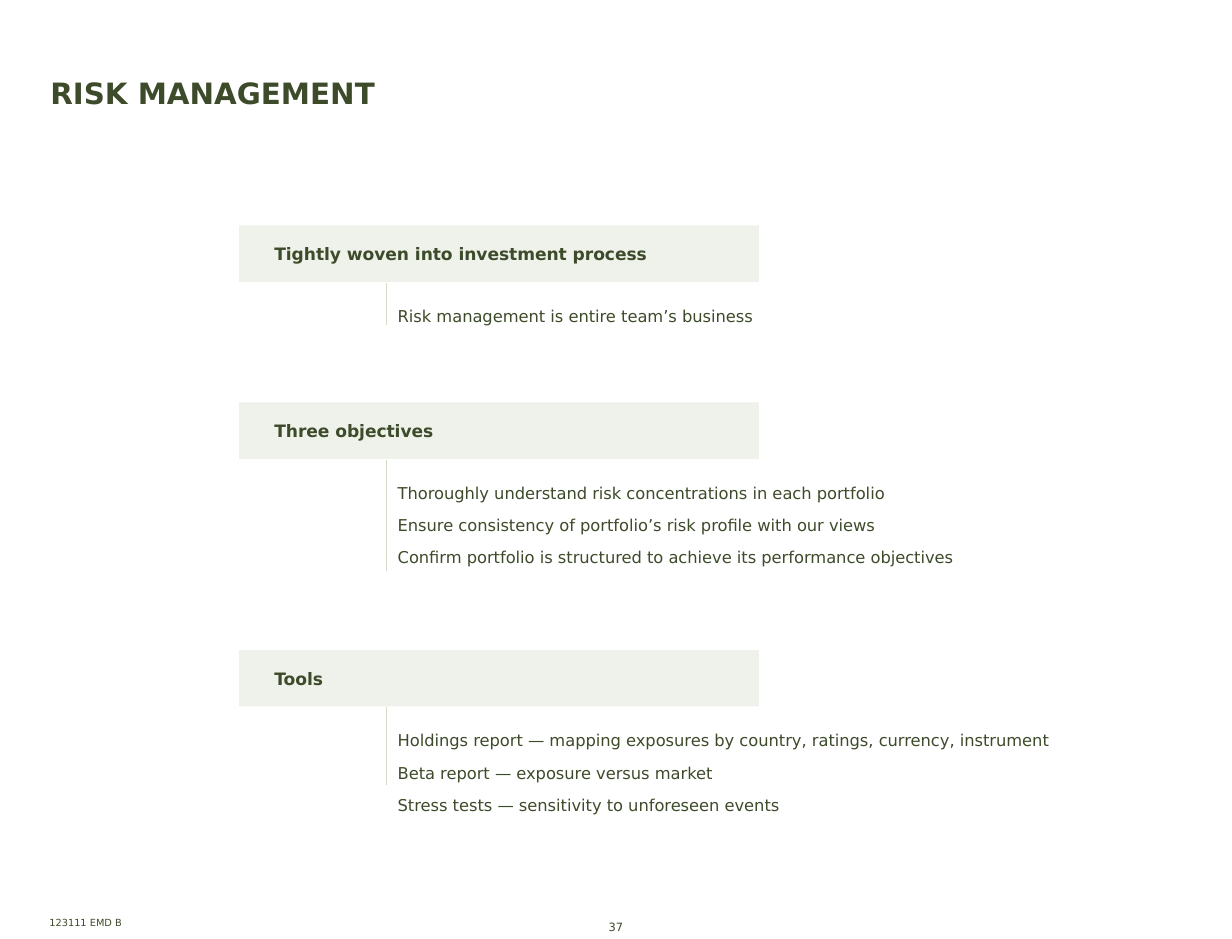
from lxml import etree
from pptx import Presentation
from pptx.dml.color import RGBColor
from pptx.enum.shapes import MSO_CONNECTOR, MSO_SHAPE
from pptx.enum.text import MSO_ANCHOR, PP_ALIGN
from pptx.oxml.ns import qn
from pptx.util import Cm, Pt

RECTANGLE = MSO_SHAPE.RECTANGLE
STRAIGHT = MSO_CONNECTOR.STRAIGHT
TOP, MIDDLE, BOTTOM = MSO_ANCHOR.TOP, MSO_ANCHOR.MIDDLE, MSO_ANCHOR.BOTTOM
LEFT, RIGHT = PP_ALIGN.LEFT, PP_ALIGN.RIGHT

FONT = "DejaVu Sans"
COLORS = {"heading": "3D4B2B", "body": "3D4B2A", "bar": "EFF2EA", "rule": "D4DCC6"}

BAR_LEFT, BAR_WIDTH, BAR_HEIGHT = 5.18, 11.25, 1.22
RULE_LEFT, RULE_OFFSET, POINTS_OFFSET = 8.36, 1.24, 1.74
POINT_HEIGHT, POINT_PITCH = 0.43, 0.74

# heading, top, rule length, width of the points, points
SECTIONS = [
    ("Tightly woven into investment process", 4.88, 0.91, 8.0,
     ["Risk management is entire team’s business"]),
    ("Three objectives", 8.71, 2.41, 12.42,
     ["Thoroughly understand risk concentrations in each portfolio",
      "Ensure consistency of portfolio’s risk profile with our views",
      "Confirm portfolio is structured to achieve its performance objectives"]),
    ("Tools", 14.07, 1.68, 14.58,
     ["Holdings report — mapping exposures by country, ratings, currency, instrument",
      "Beta report — exposure versus market",
      "Stress tests — sensitivity to unforeseen events"]),
]


def color(name):
    return RGBColor.from_string(COLORS[name])


def write(shape, lines, size, ink, bold=False, anchor=TOP, align=LEFT,
          insets=(0, 0, 0, 0), gap=0):
    """Fill a shape with one paragraph per line; gap is the space between them."""
    frame = shape.text_frame
    frame.word_wrap = False
    frame.vertical_anchor = anchor
    (frame.margin_left, frame.margin_top,
     frame.margin_right, frame.margin_bottom) = map(Cm, insets)
    for index, line in enumerate(lines):
        paragraph = frame.add_paragraph() if index else frame.paragraphs[0]
        paragraph.text = line
        paragraph.alignment = align
        if index:
            paragraph.space_before = Pt(gap)
        font = paragraph.font
        font.name, font.size, font.bold = FONT, Pt(size), bold
        font.color.rgb = color(ink)


def add_text(slide, box, lines, size, ink, **style):
    write(slide.shapes.add_textbox(*map(Cm, box)), lines, size, ink, **style)


def add_bar(slide, top, heading):
    bar = slide.shapes.add_shape(
        RECTANGLE, *map(Cm, (BAR_LEFT, top, BAR_WIDTH, BAR_HEIGHT)))
    bar.shadow.inherit = False
    bar.fill.solid()
    bar.fill.fore_color.rgb = color("bar")
    bar.line.fill.background()
    write(bar, [heading], 10.5, "heading", bold=True, anchor=MIDDLE,
          insets=(0.76, 0.38, 0.25, 0.38))


def add_rule(slide, top, length):
    rule = slide.shapes.add_connector(
        STRAIGHT, *map(Cm, (RULE_LEFT, top, RULE_LEFT, top + length)))
    rule.line.color.rgb = color("rule")
    rule.line.width = Pt(0.15)
    etree.SubElement(rule._element.spPr, qn("a:effectLst"))


def add_section(slide, heading, top, rule_length, width, points):
    add_bar(slide, top, heading)
    height = POINT_HEIGHT + POINT_PITCH * (len(points) - 1)
    add_text(slide, (RULE_LEFT, top + POINTS_OFFSET, width, height), points,
             10, "body", insets=(0.25, 0, 0, 0), gap=7.7)
    add_rule(slide, top + RULE_OFFSET, rule_length)


def main():
    deck = Presentation()
    deck.slide_width, deck.slide_height = Cm(26.67), Cm(20.32)
    slide = deck.slides.add_slide(deck.slide_layouts[6])
    add_text(slide, (1.09, 0.76, 24.77, 1.63), ["RISK MANAGEMENT"], 18, "heading",
             bold=True, anchor=BOTTOM)
    for section in SECTIONS:
        add_section(slide, *section)
    add_text(slide, (13.06, 19.91, 0.43, 0.3), ["37"], 7, "body", align=RIGHT)
    add_text(slide, (1.07, 19.84, 1.6, 0.25), ["123111 EMD B"], 6, "body",
             anchor=BOTTOM)
    deck.save("out.pptx")


if __name__ == "__main__":
    main()
